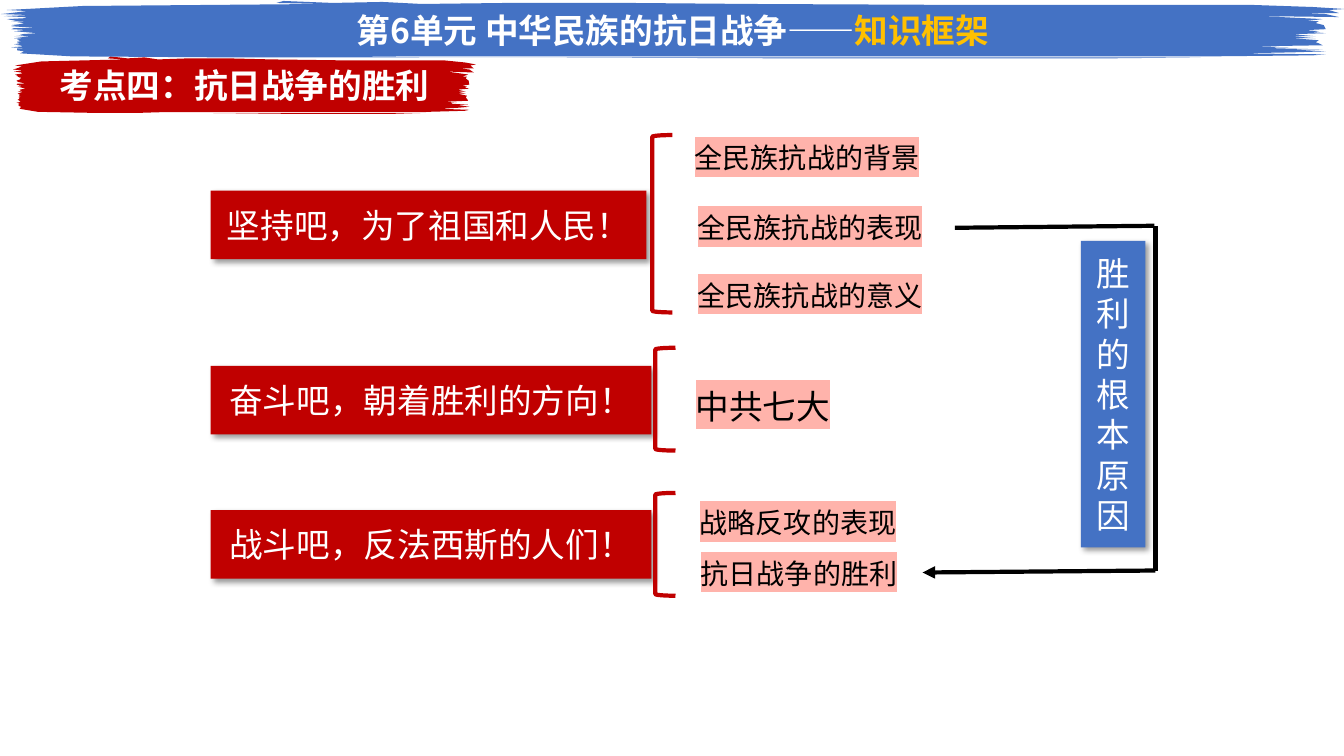
from lxml.etree import SubElement
from pptx import Presentation
from pptx.dml.color import RGBColor
from pptx.enum.shapes import MSO_CONNECTOR, MSO_SHAPE
from pptx.enum.text import MSO_ANCHOR, PP_ALIGN
from pptx.oxml.ns import qn
from pptx.util import Inches, Pt

RED = RGBColor(0xC0, 0x00, 0x00)
BLUE = RGBColor(0x44, 0x72, 0xC4)
GOLD = RGBColor(0xFF, 0xC0, 0x00)
PINK = RGBColor(0xFF, 0xB3, 0xAB)
WHITE = RGBColor(0xFF, 0xFF, 0xFF)
BLACK = RGBColor(0x00, 0x00, 0x00)

# Brush stroke outline on a 1332 x 57 grid that starts at (1, 1)
BRUSH = [
    # ragged left end, downwards
    (4, 16), (24, 17), (27, 18), (7, 19), (17, 21), (11, 21), (30, 22), (17, 22),
    (24, 23), (20, 24), (11, 25), (17, 26), (11, 26), (37, 28), (14, 28), (11, 29),
    (30, 30), (17, 30), (27, 31), (14, 31), (37, 33), (20, 34), (24, 35), (14, 36),
    (30, 36), (14, 38), (27, 39), (17, 39), (20, 40), (17, 41), (24, 41), (17, 42),
    (20, 43), (14, 44), (24, 45), (17, 45), (24, 46), (11, 47), (27, 48), (17, 48),
    (17, 50), (24, 51), (20, 53), (72, 56),
    # lower edge
    (226, 57), (532, 57), (799, 58), (1092, 58), (1190, 57), (750, 57), (428, 57),
    (336, 56), (548, 56), (770, 56), (981, 56), (1196, 56), (1301, 55),
    # ragged right end, upwards
    (1314, 54), (1229, 53), (1281, 52), (1314, 51), (1278, 49), (1311, 49), (1265, 48),
    (1262, 47), (1278, 47), (1245, 46), (1311, 45), (1307, 43), (1304, 42), (1307, 40),
    (1281, 38), (1304, 38), (1281, 36), (1304, 36), (1281, 34), (1314, 33), (1301, 32),
    (1307, 31), (1294, 30), (1314, 29), (1312, 25), (1304, 23), (1307, 21), (1294, 21),
    (1311, 19), (1249, 16), (1327, 17), (1314, 14), (1288, 13), (1327, 13), (1317, 10),
    (1333, 9), (1301, 7),
    # upper edge
    (1242, 5), (962, 5), (744, 4), (623, 3), (503, 3), (418, 4), (379, 2), (330, 3),
    (281, 1), (274, 3), (320, 4), (82, 6), (7, 10), (27, 11), (11, 13), (1, 14), (30, 15),
]


class Slide:
    TITLE_FONT = "Noto Sans CJK SC"
    LABEL_FONT = "Noto Sans CJK JP"

    def __init__(self, deck):
        self.shapes = deck.slides.add_slide(deck.slide_layouts[6]).shapes

    def set_text(self, shape, runs, font_format, highlight=None):
        frame = shape.text_frame
        for name, value in {"word_wrap": True, "vertical_anchor": MSO_ANCHOR.MIDDLE}.items():
            setattr(frame, name, value)
        paragraph = frame.paragraphs[0]
        paragraph.alignment = PP_ALIGN.CENTER
        for text, color in runs:
            run = paragraph.add_run()
            run.text = text
            for name, value in font_format.items():
                setattr(run.font, name, value)
            run.font.color.rgb = color
            properties = run._r.get_or_add_rPr()
            east_asian = properties.makeelement(qn("a:ea"), {"typeface": run.font.name})
            properties.find(qn("a:latin")).addnext(east_asian)
            if highlight is not None:
                marker = properties.makeelement(qn("a:highlight"), {})
                SubElement(marker, qn("a:srgbClr"), val=str(highlight))
                properties.find(qn("a:solidFill")).addnext(marker)

    def paint(self, shape, color):
        shape.shadow.inherit = False
        shape.fill.solid()
        shape.fill.fore_color.rgb = color
        shape.line.fill.background()

    def banner(self, left, top, width, height, color, runs):
        scale_x, scale_y = Inches(width) / 1332, Inches(height) / 57
        start, *rest = BRUSH
        builder = self.shapes.build_freeform(*start, scale=(scale_x, scale_y))
        builder.add_line_segments(rest)
        brush = builder.convert_to_shape(
            int(Inches(left) - scale_x), int(Inches(top) - scale_y))
        self.paint(brush, color)
        self.set_text(brush, runs, {"name": self.TITLE_FONT, "size": Pt(24), "bold": True})

    def box(self, left, top, width, height, color, text):
        box = self.shapes.add_shape(
            MSO_SHAPE.RECTANGLE, *map(Inches, (left, top, width, height)))
        self.paint(box, color)
        effects = box._element.spPr.find(qn("a:effectLst"))
        shadow = SubElement(effects, qn("a:outerShdw"), blurRad=str(Pt(4)), dist=str(Pt(3)),
                            dir="2700000", algn="tl", rotWithShape="0")
        shade = SubElement(shadow, qn("a:srgbClr"), val=str(BLACK))
        SubElement(shade, qn("a:alpha"), val="40000")
        self.set_text(box, [(text, WHITE)], {"name": self.TITLE_FONT, "size": Pt(24)})

    def bracket(self, left, top, height):
        bracket = self.shapes.add_shape(
            MSO_SHAPE.LEFT_BRACKET, *map(Inches, (left, top, 0.2, height)))
        bracket.shadow.inherit = False
        bracket.fill.background()
        bracket.line.color.rgb = RED
        bracket.line.width = Pt(3)

    def label(self, left, top, width, height, size, text):
        label = self.shapes.add_textbox(*map(Inches, (left, top, width, height)))
        self.set_text(label, [(text, BLACK)],
                      {"name": self.LABEL_FONT, "size": Pt(size)}, PINK)

    def line(self, start, end, arrow=False):
        line = self.shapes.add_connector(
            MSO_CONNECTOR.STRAIGHT, *map(Inches, (*start, *end)))
        line.line.color.rgb = BLACK
        line.line.width = Pt(3)
        if arrow:
            SubElement(line.line._get_or_add_ln(), qn("a:tailEnd"), type="triangle")
        SubElement(line._element.spPr, qn("a:effectLst"))


def main():
    deck = Presentation()
    deck.slide_width, deck.slide_height = Inches(13.33), Inches(7.5)
    slide = Slide(deck)

    # Headings
    slide.banner(0.13, 0.56, 4.59, 0.57, RED, [("考点四：抗日战争的胜利", WHITE)])
    slide.banner(0.01, 0.01, 13.33, 0.57, BLUE,
                 [("第6单元 中华民族的抗日战争——", WHITE), ("知识框架", GOLD)])

    # Themes, each with its bracket
    themes = [
        ("坚持吧，为了祖国和人民！", 1.89, 4.32, (6.47, 1.34, 1.76)),
        ("奋斗吧，朝着胜利的方向！", 3.63, 4.37, (6.5, 3.45, 1.02)),
        ("战斗吧，反法西斯的人们！", 5.06, 4.37, (6.5, 4.89, 1.02)),
    ]
    for theme, top, width, bracket in themes:
        slide.box(2.09, top, width, 0.68, RED, theme)
        slide.bracket(*bracket)

    # Topics under the themes
    topics = [
        (6.57, 1.34, 2.87, 0.45, 20, "全民族抗战的背景"),
        (6.6, 2.03, 2.87, 0.45, 20, "全民族抗战的表现"),
        (6.6, 2.7, 2.87, 0.45, 20, "全民族抗战的意义"),
        (6.74, 3.75, 1.65, 0.55, 24, "中共七大"),
        (6.57, 4.96, 2.69, 0.45, 20, "战略反攻的表现"),
        (6.7, 5.46, 2.45, 0.45, 20, "抗日战争的胜利"),
    ]
    for topic in topics:
        slide.label(*topic)

    # Path from the war effort to the victory, and its cause
    slide.line((9.47, 2.26), (11.45, 2.24))
    slide.line((11.46, 2.24), (11.46, 5.66))
    slide.line((11.46, 5.66), (9.15, 5.68), arrow=True)
    slide.box(10.72, 2.39, 0.64, 3.04, BLUE, "胜利的根本原因")

    deck.save("out.pptx")


if __name__ == "__main__":
    main()
